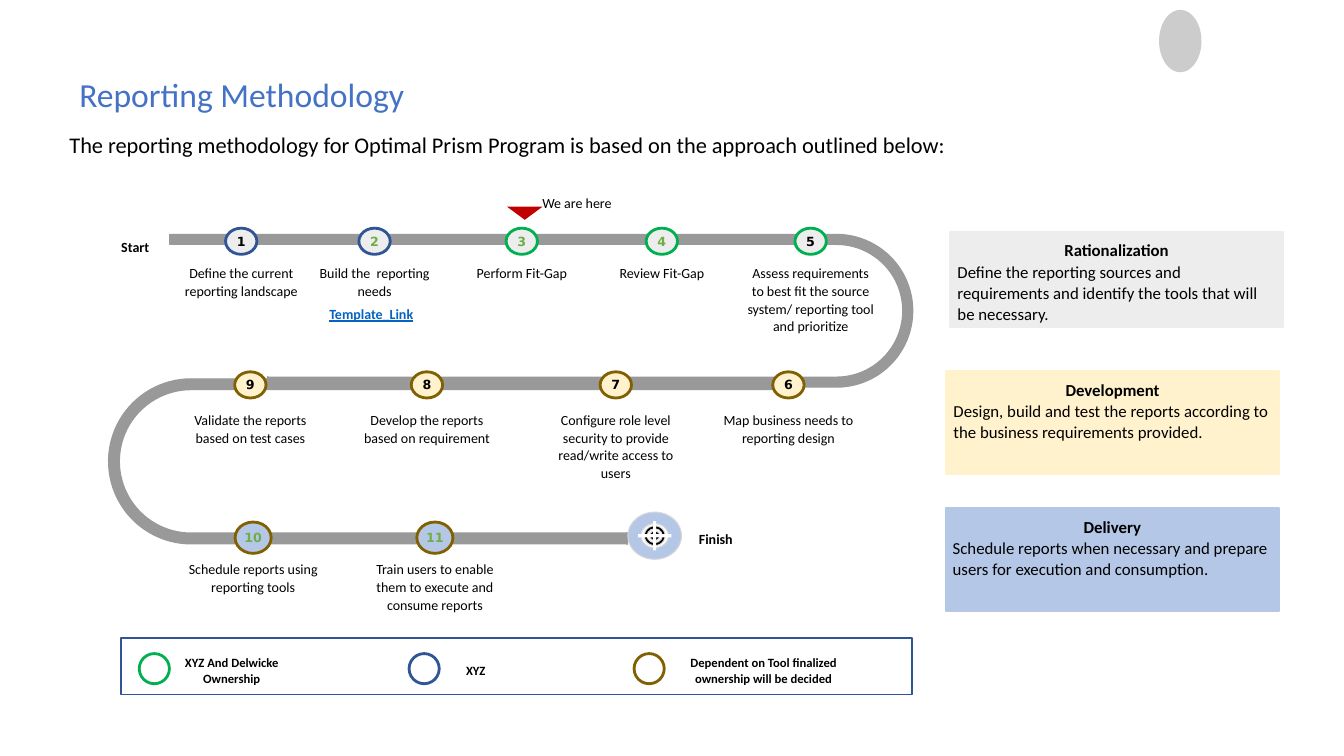
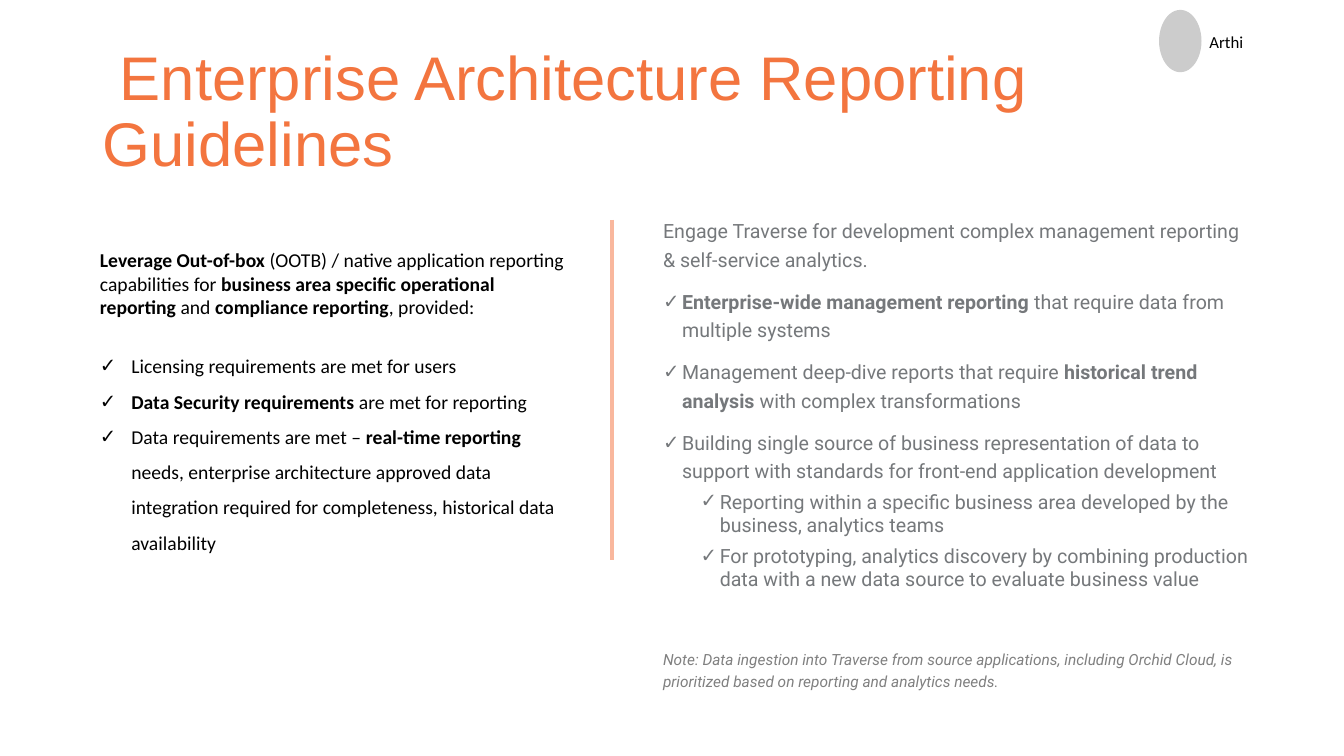
from lxml import etree
from pptx import Presentation
from pptx import util as u
from pptx.dml.color import RGBColor
from pptx.enum import shapes, text
from pptx.oxml import ns

Cm, Pt = u.Cm, u.Pt
SHAPE = shapes.MSO_SHAPE
LEFT, CENTER, RIGHT = text.PP_ALIGN.LEFT, text.PP_ALIGN.CENTER, text.PP_ALIGN.RIGHT
TOP, MIDDLE = text.MSO_ANCHOR.TOP, text.MSO_ANCHOR.MIDDLE

COLORS = {
    "black": "000000", "white": "FFFFFF", "blue": "4472C4", "orange": "F3753F",
    "peach": "F9B79D", "slate": "75787B", "note": "808080", "road": "999999",
    "badge": "CCCCCC", "edge": "D9D9D9", "gray": "EDEDED", "cream": "FFF2CC",
    "sky": "B4C7E7", "navy": "2F5597", "green": "00B050", "brown": "806000",
    "done": "70AD47", "red": "C00000", "link": "0563C1",
}
STANDARD_INSETS = (0.25, 0.13, 0.25, 0.13)
NO_INSETS = (0, 0, 0, 0)
WIDE_INSETS = (0.51, 0.51, 0.51, 0.51)
LABEL = {"size": 10, "align": CENTER, "spacing": 1.06}
LABEL_WIDTH = 3.81

METHOD_TITLE = "Reporting Methodology"
METHOD_INTRO = ("The reporting methodology for Optimal Prism Program is based on "
                "the approach outlined below:")

ROADS = [
    ((9.14, 3.15, 4.17, 16.97), 270, True, 0.772),
    ((11.71, -1.52, 3.86, 18.72), 90, False, 0.87),
]

ROWS = [
    {"middle": 6.08, "label_top": 6.51, "size": (0.79, 0.66), "fill": "gray", "steps": [
        (1, 6.08, "navy", "black", "Define the current reporting landscape"),
        (2, 9.44, "navy", "done", "Build the  reporting needs"),
        (3, 13.15, "green", "done", "Perform Fit-Gap"),
        (4, 16.68, "green", "done", "Review Fit-Gap"),
        (5, 20.43, "green", "black",
         "Assess requirements to best fit the source system/ reporting tool and prioritize"),
    ]},
    {"middle": 9.7, "label_top": 10.21, "size": (0.79, 0.66), "fill": "cream", "steps": [
        (6, 19.87, "brown", "black", "Map business needs to reporting design"),
        (7, 15.52, "brown", "black",
         "Configure role level security to provide read/write access to users"),
        (8, 10.76, "brown", "black", "Develop the reports based on requirement"),
        (9, 6.31, "brown", "black", "Validate the reports based on test cases"),
    ]},
    {"middle": 13.55, "label_top": 13.97, "size": (0.91, 0.79), "fill": "sky", "steps": [
        (10, 6.38, "brown", "done", "Schedule reports using reporting tools"),
        (11, 10.96, "brown", "done",
         "Train users to enable them to execute and consume reports"),
    ]},
]

CARDS = [
    ((23.95, 5.84, 8.38, 2.39), "gray", "Rationalization",
     "Define the reporting sources and requirements and identify the tools that will "
     "be necessary."),
    ((23.85, 9.35, 8.38, 2.59), "cream", "Development",
     "Design, build and test the reports according to the business requirements provided."),
    ((23.83, 12.8, 8.41, 2.59), "sky", "Delivery",
     "Schedule reports when necessary and prepare users for execution and consumption."),
]

LEGEND = [
    (3.51, "green", 5.84, 2.95, "XYZ And Delwicke Ownership"),
    (10.31, "navy", 11.99, 2.95, "XYZ"),
    (15.98, "brown", 19.24, 4.95, "Dependent on Tool finalized ownership will be decided"),
]

TARGET_CENTER = (16.5, 13.5)
TARGET_PARTS = [
    (SHAPE.OVAL, 1.35, 1.19, "sky", "edge"),
    (SHAPE.OVAL, 0.69, 0.61, "white", "edge"),
    (SHAPE.OVAL, 0.53, 0.5, "black", "edge"),
    (SHAPE.OVAL, 0.38, 0.35, "white", "edge"),
    (SHAPE.OVAL, 0.26, 0.24, "black", "edge"),
    (SHAPE.RECTANGLE, 0.08, 0.74, "white", None),
    (SHAPE.RECTANGLE, 0.84, 0.08, "white", None),
]

GUIDE_TITLE = " Enterprise Architecture Reporting Guidelines"
CHECK = {"bullet": "✓", "hanging": 0.79, "indent": 0.79, "spacing": 1.5}
POINT = {"bullet": "✓", "hanging": 0.48, "indent": 0.48, "spacing": 1.2, "before": 10}
SUBPOINT = {"bullet": "✓", "hanging": 0.48, "indent": 1.43, "level": 1, "before": 5}

NATIVE_REPORTING = [
    {"runs": [("Leverage Out-of-box ", True),
              ("(OOTB) / native application reporting capabilities for ", False),
              ("business area specific operational reporting ", True), ("and ", False),
              ("compliance reporting", True), (", provided:", False)]},
    {"runs": [("Licensing requirements are met for users", False)], **CHECK, "before": 17},
    {"runs": [("Data Security requirements ", True), ("are met for reporting", False)],
     **CHECK},
    {"runs": [("Data requirements are met – ", False), ("real-time reporting ", True),
              ("needs, enterprise architecture approved data integration required for "
               "completeness, historical data availability", False)], **CHECK},
]

MANAGED_REPORTING = [
    {"runs": [("Engage Traverse for development complex management "
               "reporting & self-service analytics.", False)], "spacing": 1.2},
    {"runs": [("Enterprise-wide management reporting ", True),
              ("that require data from multiple systems", False)], **POINT},
    {"runs": [("Management deep-dive reports that require ", False),
              ("historical trend analysis ", True),
              ("with complex transformations", False)], **POINT},
    {"runs": [("Building single source of business representation of data to support with "
               "standards for front-end application development", False)], **POINT},
    {"runs": [("Reporting within a specific business area developed by the business, "
               "analytics teams", False)], **SUBPOINT},
    {"runs": [("For prototyping, analytics discovery by combining production data with a "
               "new data source to evaluate business value", False)], **SUBPOINT},
    {"runs": [("Note: Data ingestion into Traverse from source applications, including "
               "Orchid Cloud, is prioritized based on reporting and analytics needs.", False)],
     "spacing": 1.2, "before": 39.7, "size": 11, "color": "note", "italic": True},
]


def rgb(name):
    return RGBColor.from_string(COLORS[name])


def add_bullet(paragraph, character, indent, hanging):
    properties = paragraph._p.get_or_add_pPr()
    properties.set("marL", str(Cm(indent)))
    properties.set("indent", str(-Cm(hanging)))
    etree.SubElement(properties, ns.qn("a:buFont")).set("typeface", "Arial")
    etree.SubElement(properties, ns.qn("a:buChar")).set("char", character)


def write(shape, content, anchor=TOP, insets=STANDARD_INSETS, wrap=True, **base):
    frame = shape.text_frame
    frame.word_wrap = wrap
    frame.vertical_anchor = anchor
    (frame.margin_left, frame.margin_top,
     frame.margin_right, frame.margin_bottom) = [Cm(inset) for inset in insets]
    items = [{"runs": [(content, base.get("bold", False))]}] if isinstance(content, str) else content
    for index, item in enumerate(items):
        style = {**base, **item}
        paragraph = frame.paragraphs[0] if index == 0 else frame.add_paragraph()
        paragraph.level = style.get("level", 0)
        if "bullet" in style:
            add_bullet(paragraph, style["bullet"], style["indent"], style["hanging"])
        paragraph.alignment = style.get("align", LEFT)
        paragraph.line_spacing = style.get("spacing", 1.0)
        paragraph.space_before = Pt(style.get("before", 0))
        for words, bold in item["runs"]:
            run = paragraph.add_run()
            run.text = words
            font = run.font
            font.name = style.get("font", "Calibri")
            font.size = Pt(style["size"])
            font.bold = bold
            font.italic = style.get("italic", False)
            font.underline = style.get("underline", False)
            font.color.rgb = rgb(style.get("color", "black"))


def add_text(slide, box, content, **style):
    write(slide.shapes.add_textbox(*[Cm(value) for value in box]), content, **style)


def add_shape(slide, kind, box, fill=None, line=None, weight=1):
    shape = slide.shapes.add_shape(kind, *[Cm(value) for value in box])
    shape.shadow.inherit = False
    if fill:
        shape.fill.solid()
        shape.fill.fore_color.rgb = rgb(fill)
    else:
        shape.fill.background()
    if line:
        shape.line.color.rgb = rgb(line)
        shape.line.width = Pt(weight)
    else:
        shape.line.fill.background()
    return shape


def centered(x, y, width, height):
    return x - width / 2, y - height / 2, width, height


def add_slide(presentation, title, box, **style):
    slide = presentation.slides.add_slide(presentation.slide_layouts[6])
    add_text(slide, box, title, spacing=0.9, **style)
    add_shape(slide, SHAPE.FLOWCHART_CONNECTOR, (29.21, 0.25, 1.07, 1.57), "badge")
    return slide


def add_roads(slide):
    for box, angle, flipped, tail in ROADS:
        road = add_shape(slide, SHAPE.U_TURN_ARROW, box, "road", "road")
        for index, value in enumerate((0.064, 0.036, 0.009, 0.498, tail)):
            road.adjustments[index] = value
        road.rotation = angle
        if flipped:
            road._element.spPr.xfrm.set("flipH", "1")


def add_steps(slide):
    for row in ROWS:
        for number, x, ring, ink, label in row["steps"]:
            marker = add_shape(slide, SHAPE.OVAL, centered(x, row["middle"], *row["size"]),
                               row["fill"], ring, 2)
            write(marker, str(number), anchor=MIDDLE, insets=NO_INSETS, wrap=False,
                  size=9, font="DejaVu Sans", bold=True, color=ink, align=CENTER)
            add_text(slide, (x - LABEL_WIDTH / 2, row["label_top"], LABEL_WIDTH, 1.14),
                     label, **LABEL)


def add_legend(slide):
    add_shape(slide, SHAPE.RECTANGLE, (3.05, 16.08, 19.94, 1.42), None, "navy")
    for left, ring, x, width, label in LEGEND:
        add_shape(slide, SHAPE.OVAL, (left, 16.47, 0.76, 0.76), "white", ring, 2)
        add_text(slide, centered(x, 16.88, width, 0.58), label, anchor=MIDDLE,
                 insets=NO_INSETS, size=9, bold=True, align=CENTER, spacing=1.06)


def build_methodology(presentation):
    slide = add_slide(presentation, METHOD_TITLE, (1.75, 1.86, 29.11, 1.2),
                      size=24, color="blue")
    add_text(slide, (1.5, 3.18, 30.76, 0.94), METHOD_INTRO, size=16)
    for box, fill, heading, body in CARDS:
        card = add_shape(slide, SHAPE.RECTANGLE, box, fill, fill, 1.5)
        write(card, [{"runs": [(heading, True)], "align": CENTER}, {"runs": [(body, False)]}],
              insets=(0.18, 0.18, 0.18, 0.18), size=12, spacing=1.06)
    add_roads(slide)
    add_steps(slide)
    for kind, width, height, fill, line in TARGET_PARTS:
        add_shape(slide, kind, centered(*TARGET_CENTER, width, height), fill, line, 0.75)
    add_text(slide, (1.57, 5.87, 2.44, 0.69), "Start", size=10, bold=True, align=RIGHT)
    add_text(slide, (16.73, 13.23, 2.62, 0.69), "Finish", size=10, bold=True, align=CENTER)
    add_text(slide, (8.05, 7.57, 3.02, 0.69), "Template_Link", size=10, bold=True,
             underline=True, color="link")
    add_shape(slide, SHAPE.FLOWCHART_MERGE, (12.78, 5.21, 0.89, 0.33), "red")
    add_text(slide, (12.95, 4.75, 3.18, 0.69), "We are here", **LABEL)
    add_legend(slide)


def build_guidelines(presentation):
    slide = add_slide(presentation, GUIDE_TITLE, (2.34, 1.02, 29.21, 3.68),
                      size=44, font="Arial", color="orange", anchor=MIDDLE)
    add_text(slide, (29.97, 0.53, 3.45, 1.02), "Arthi", size=12, anchor=MIDDLE,
             insets=WIDE_INSETS)
    add_text(slide, (2.01, 5.74, 12.73, 10.5), NATIVE_REPORTING, size=14, insets=WIDE_INSETS)
    add_text(slide, (16.46, 5.28, 15.39, 12.8), MANAGED_REPORTING, size=14,
             font="Roboto", color="slate")
    divider = slide.shapes.add_connector(shapes.MSO_CONNECTOR.STRAIGHT,
                                         Cm(15.42), Cm(5.54), Cm(15.42), Cm(14.1))
    divider.line.color.rgb = rgb("peach")
    divider.line.width = Pt(3)
    etree.SubElement(divider._element.spPr, ns.qn("a:effectLst"))


def main():
    presentation = Presentation()
    presentation.slide_width = Cm(33.87)
    presentation.slide_height = Cm(19.05)
    build_methodology(presentation)
    build_guidelines(presentation)
    presentation.save("out.pptx")


if __name__ == "__main__":
    main()
